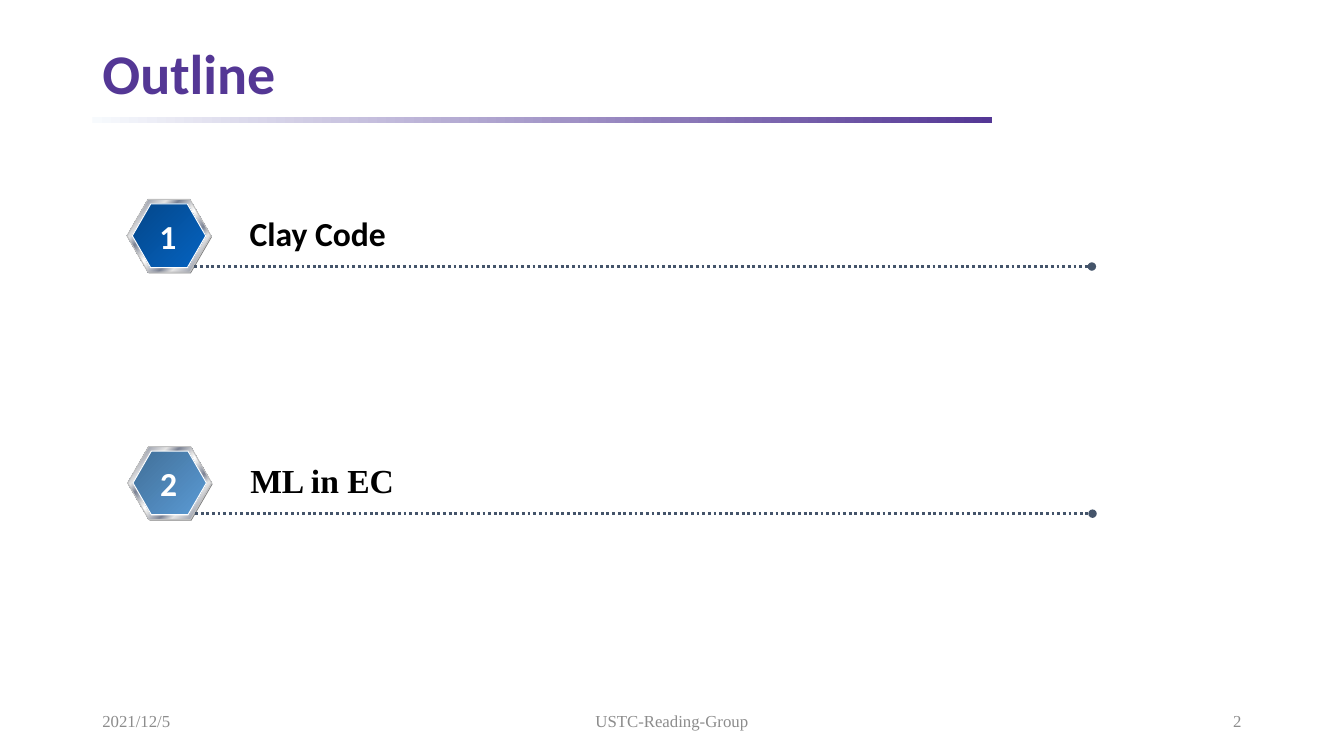
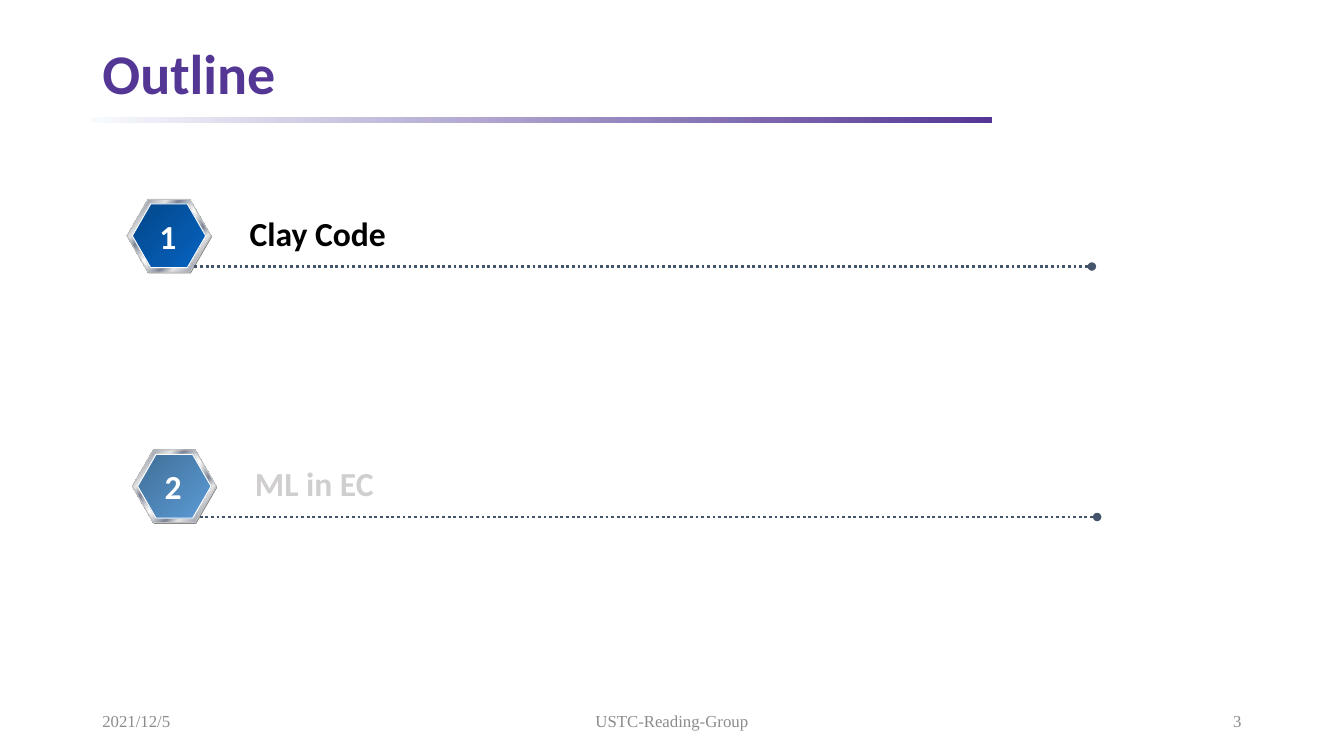
"""Build two outline slides with numbered hexagon badges."""
from lxml import etree
from pptx import Presentation
from pptx.dml.color import RGBColor
from pptx.enum.dml import MSO_LINE
from pptx.enum.shapes import MSO_CONNECTOR, MSO_SHAPE
from pptx.enum.text import MSO_ANCHOR, MSO_AUTO_SIZE, PP_ALIGN
from pptx.oxml.ns import qn
from pptx.util import Pt

RECTANGLE, HEXAGON = MSO_SHAPE.RECTANGLE, MSO_SHAPE.HEXAGON
STRAIGHT, DOTTED = MSO_CONNECTOR.STRAIGHT, MSO_LINE.ROUND_DOT
LEFT, CENTER, RIGHT = PP_ALIGN.LEFT, PP_ALIGN.CENTER, PP_ALIGN.RIGHT
TOP, MIDDLE = MSO_ANCHOR.TOP, MSO_ANCHOR.MIDDLE
GROW = MSO_AUTO_SIZE.SHAPE_TO_FIT_TEXT

SANS, SERIF = "Calibri", "Times New Roman"
COLORS = {
    "title": "543795",
    "band_start": "F7FAFD",
    "text": "000000",
    "muted": "D0CECE",
    "footer": "8C8C8C",
    "white": "FFFFFF",
    "rule": "44546A",
    "badge_shadow": "808080",
    "badge_edge": "C0C0C0",
    "metal_light": "E6E6E6",
    "metal_dark": "7D8496",
    "blue_dark": "04478A",
    "blue": "0563C1",
    "sky_dark": "416F98",
    "sky": "5B9BD5",
}
METAL = [
    (0, "metal_light"), (7, "metal_dark"), (26, "metal_light"), (34, "metal_dark"),
    (46, "metal_light"), (50, "white"), (54, "metal_light"), (66, "metal_dark"),
    (74, "metal_light"), (93, "metal_dark"), (100, "metal_light"),
]
BLUE_FACE = [(0, "blue_dark"), (100, "blue")]
SKY_FACE = [(0, "sky_dark"), (100, "sky")]
MARGIN = 66
CONTENT_WIDTH = 828

FIRST_ITEM = (90.7, 142.5, "1", "Clay Code", BLUE_FACE, SANS, "text")
SLIDES = [
    ("2", [FIRST_ITEM, (91.2, 319, "2", "ML in EC", SKY_FACE, SERIF, "text")]),
    ("3", [FIRST_ITEM, (94.5, 321.4, "2", "ML in EC", SKY_FACE, SANS, "muted")]),
]


def rgb(name):
    """Return the named colour."""
    return RGBColor.from_string(COLORS[name])


def set_gradient(shape, stops, angle):
    """Fill a shape with a linear gradient of (percent, colour name) stops."""
    shape.fill.gradient()
    gradient = shape.element.spPr.find(qn("a:gradFill"))
    stop_list = gradient.find(qn("a:gsLst"))
    for stop in list(stop_list):
        stop_list.remove(stop)
    for percent, name in stops:
        stop = etree.SubElement(stop_list, qn("a:gs"), pos=str(percent * 1000))
        etree.SubElement(stop, qn("a:srgbClr"), val=COLORS[name])
    gradient.find(qn("a:lin")).set("ang", str(angle * 60000))


def add_plain_shape(shapes, kind, left, top, width, height, line=None):
    """Add a shape without shadow, outlined only if a line colour is named."""
    shape = shapes.add_shape(kind, Pt(left), Pt(top), Pt(width), Pt(height))
    shape.shadow.inherit = False
    if line:
        shape.line.color.rgb = rgb(line)
        shape.line.width = Pt(0.75)
    else:
        shape.line.fill.background()
    return shape


def add_hexagon(group, left, top, width, height, line=None):
    """Add one regular hexagon to a badge group."""
    hexagon = add_plain_shape(group.shapes, HEXAGON, left, top, width, height, line)
    hexagon.adjustments[0] = 0.289
    return hexagon


def add_badge(page, left, top, face_stops):
    """Add a metal-rimmed hexagon badge."""
    group = page.shapes.add_group_shape()
    shadow = add_hexagon(group, left + 0.6, top + 0.9, 60, 52)
    shadow.fill.solid()
    shadow.fill.fore_color.rgb = rgb("badge_shadow")
    rim = add_hexagon(group, left, top, 60, 52, "badge_edge")
    set_gradient(rim, METAL, 45)
    face = add_hexagon(group, left + 3.8, top + 3.2, 52.5, 45.5, "white")
    set_gradient(face, face_stops, 45)


def add_dotted_rule(page, left, top, width):
    """Add a dotted line that ends in a round dot."""
    rule = page.shapes.add_connector(STRAIGHT, Pt(left), Pt(top), Pt(left + width), Pt(top))
    rule.line.color.rgb = rgb("rule")
    rule.line.width = Pt(2)
    rule.line.dash_style = DOTTED
    properties = rule.element.spPr
    etree.SubElement(properties.find(qn("a:ln")), qn("a:tailEnd"), type="oval")
    etree.SubElement(properties, qn("a:effectLst"))


def format_text(frame, text, size, font, color, bold, align, anchor):
    """Put one formatted paragraph in a text frame."""
    frame.text = text
    frame.vertical_anchor = anchor
    para = frame.paragraphs[0]
    para.alignment = align
    span = para.runs[0]
    span.font.size = Pt(size)
    span.font.name = font
    span.font.bold = bold
    span.font.color.rgb = rgb(color)


def add_text(page, left, top, width, height, text, size, font, color,
             bold=False, align=LEFT, anchor=TOP, wrap=True):
    """Add a text box that either wraps or grows with its text."""
    box = page.shapes.add_textbox(Pt(left), Pt(top), Pt(width), Pt(height))
    box.text_frame.word_wrap = wrap
    if not wrap:
        box.text_frame.auto_size = GROW
    format_text(box.text_frame, text, size, font, color, bold, align, anchor)


def add_item(page, left, top, number, label, face_stops, font, color):
    """Add one outline entry: badge, rule, label and number."""
    add_badge(page, left, top, face_stops)
    add_dotted_rule(page, left + 48.2, top + 47.9, 641)
    add_text(page, left + 80.5, top + 5.9, 120, 36, label, 24, font, color,
             bold=True, wrap=False)
    add_text(page, left + 15.2, top + 8, 28, 36.5, number, 24, SANS, "white",
             bold=True, align=CENTER, wrap=False)


def add_footer(page, number):
    """Add the date, group name and slide number."""
    right = MARGIN + CONTENT_WIDTH
    cells = [
        (MARGIN, 216, "2021/12/5", LEFT),
        (318, 324, "USTC-Reading-Group", CENTER),
        (right - 216, 216, number, RIGHT),
    ]
    for left, width, text, align in cells:
        add_text(page, left, 500.5, width, 28.8, text, 12, SERIF, "footer",
                 align=align, anchor=MIDDLE)


def set_title(page, text):
    """Fill and format the title placeholder."""
    frame = page.shapes.title.text_frame
    format_text(frame, text, 40, SANS, "title", True, LEFT, MIDDLE)
    frame.paragraphs[0].line_spacing = 0.9


def place_layout_title(layout):
    """Place the title once for every slide of the layout."""
    title = layout.placeholders[0]
    title.left, title.top = Pt(MARGIN), Pt(27.4)
    title.width, title.height = Pt(CONTENT_WIDTH), Pt(54)


def move_band_to_layout(page, layout):
    """Draw the gradient band under the title and hand it to the layout."""
    band = add_plain_shape(page.shapes, RECTANGLE, MARGIN, 83.8, 642.4, 3.9)
    set_gradient(band, [(0, "band_start"), (100, "title")], 0)
    layout.shapes.element.append(band.element)


def main():
    """Build and save the deck."""
    deck = Presentation()
    deck.slide_width, deck.slide_height = Pt(960), Pt(540)
    layout = deck.slide_layouts[5]
    place_layout_title(layout)
    for number, items in SLIDES:
        page = deck.slides.add_slide(layout)
        set_title(page, "Outline")
        for item in items:
            add_item(page, *item)
        add_footer(page, number)
    move_band_to_layout(page, layout)
    deck.save("out.pptx")


if __name__ == "__main__":
    main()
